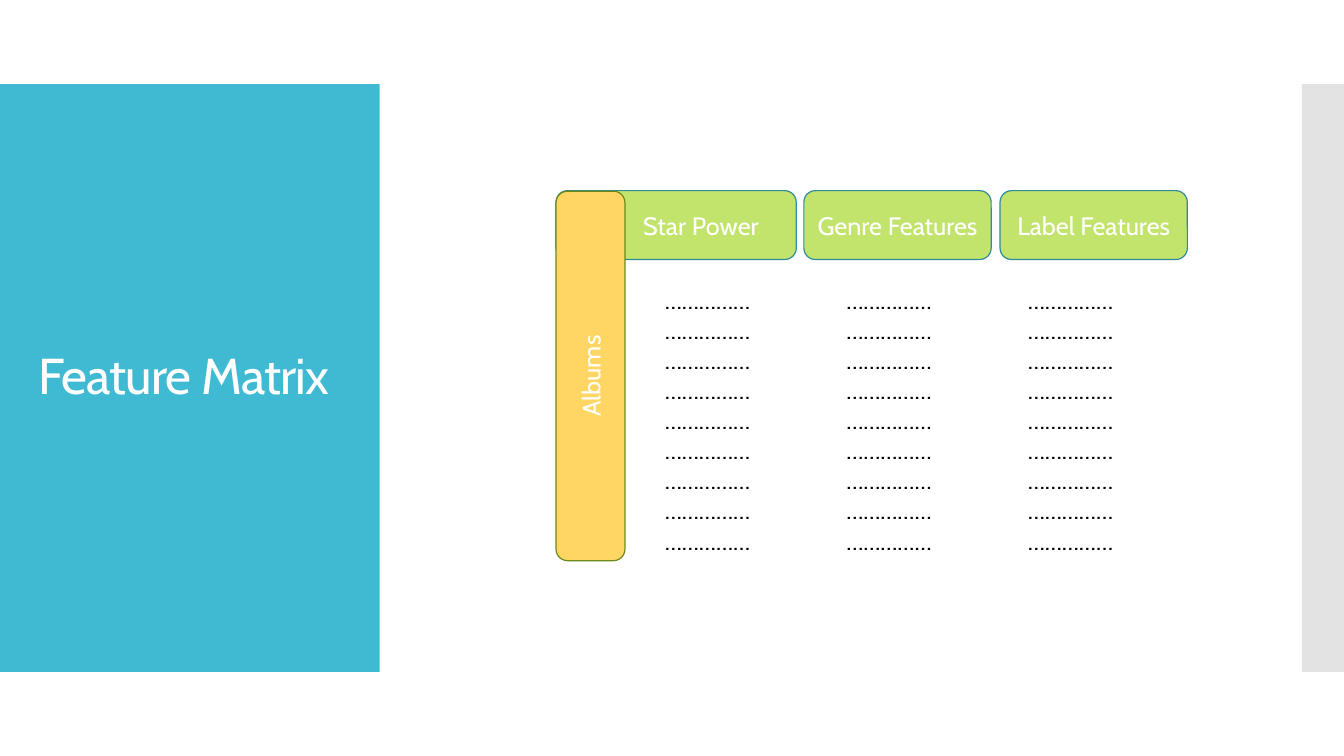
"""Build the Feature Matrix slide on a grid of 160 columns by 90 rows."""
import pptx
import pptx.util
import pptx.dml.color
import pptx.enum.shapes
import pptx.enum.text
import lxml.etree

RGB = pptx.dml.color.RGBColor
TEAL = RGB(0x40, 0xBA, 0xD2)
GREY = RGB(0xC8, 0xC8, 0xC8)
LIME = RGB(0xC2, 0xE4, 0x6D)
GOLD = RGB(0xFF, 0xD6, 0x63)
BLUE = RGB(0x2F, 0x8A, 0x9B)
MOSS = RGB(0x6B, 0x8A, 0x1A)
WHITE = RGB(0xFF, 0xFF, 0xFF)
BLACK = RGB(0, 0, 0)
FONT = "Cabin"
DOTS = "……………"
WIDE, HIGH = 13.33, 7.5
COLS, ROWS = 160, 90
KIND = pptx.enum.shapes.MSO_SHAPE
MID = pptx.enum.text.MSO_ANCHOR.MIDDLE


def cell(left, top, width, height):
    """Turn grid columns and rows into slide lengths."""
    col, row = WIDE / COLS, HIGH / ROWS
    sizes = (left * col, top * row, width * col, height * row)
    return [pptx.util.Inches(size) for size in sizes]


def write(para, text, size, color):
    """Add one run of text to a paragraph."""
    run = para.add_run()
    run.text = text
    run.font.name = FONT
    run.font.size = pptx.util.Pt(size)
    run.font.color.rgb = color
    return run


def block(slide, kind, area, fill, line=None):
    """Draw a filled shape with an optional outline."""
    shape = slide.shapes.add_shape(kind, *cell(*area))
    shape.shadow.inherit = False
    shape.fill.solid()
    shape.fill.fore_color.rgb = fill
    if line is None:
        shape.line.fill.background()
    else:
        shape.line.color.rgb = line
        shape.line.width = pptx.util.Pt(0.85)
    return shape


def fade(shape, share):
    """Make a solid fill partly see-through."""
    tag = pptx.oxml.ns.qn("a:srgbClr")
    color = next(shape.fill._xPr.iter(tag))
    alpha = lxml.etree.SubElement(color, pptx.oxml.ns.qn("a:alpha"))
    alpha.set("val", str(int(share * 100000)))


def label(slide, area, text, fill, line, inset=0.1):
    """Draw a rounded label with centred text."""
    shape = block(slide, KIND.ROUNDED_RECTANGLE, area, fill, line)
    frame = shape.text_frame
    frame.word_wrap = True
    frame.vertical_anchor = MID
    frame.margin_left = pptx.util.Inches(inset)
    para = frame.paragraphs[0]
    para.alignment = pptx.enum.text.PP_ALIGN.CENTER
    write(para, text, 18, WHITE)
    return shape


def title(slide, area, text):
    """Add the slide title."""
    frame = slide.shapes.add_textbox(*cell(*area)).text_frame
    frame.word_wrap = True
    frame.vertical_anchor = MID
    para = frame.paragraphs[0]
    para.line_spacing = 0.9
    run = write(para, text, 36, WHITE)
    run.font._element.set("spc", "-60")


def dots(slide, area, lines, count, step):
    """Add lines of dotted entries set on even tab stops."""
    frame = slide.shapes.add_textbox(*cell(*area)).text_frame
    frame.word_wrap = True
    frame.margin_left = pptx.util.Inches(0.33)
    para = frame.paragraphs[0]
    props = para._p.get_or_add_pPr()
    stops = lxml.etree.SubElement(props, pptx.oxml.ns.qn("a:tabLst"))
    for index in range(1, count):
        stop = lxml.etree.SubElement(stops, pptx.oxml.ns.qn("a:tab"))
        stop.set("pos", str(pptx.util.Inches(index * step)))
        stop.set("algn", "l")
    for index in range(lines):
        if index:
            para.add_line_break()
        write(para, "\t".join([DOTS] * count), 18, BLACK)


def main():
    """Build and save the slide."""
    deck = pptx.Presentation()
    deck.slide_width = pptx.util.Inches(WIDE)
    deck.slide_height = pptx.util.Inches(HIGH)
    slide = deck.slides.add_slide(deck.slide_layouts[6])

    block(slide, KIND.RECTANGLE, (0, 10, 45.2, 70), TEAL)
    fade(block(slide, KIND.RECTANGLE, (155, 10, 5, 70), GREY), 0.5)
    title(slide, (3.4, 14.8, 38.6, 60.4), "Feature Matrix")

    top, deep = 22.7, 8.2
    label(slide, (66.2, top, 28.6, deep), "Star Power", LIME, BLUE, 0.59)
    side = label(slide, (48.3, 40.65, 44, deep), "Albums", GOLD, MOSS)
    side.rotation = 270
    for index, text in enumerate(("Genre Features", "Label Features")):
        area = (95.7 + index * 23.35, top, 22.3, deep)
        label(slide, area, text, LIME, BLUE)
    for index in range(3):
        dots(slide, (75.2, 33.2 + index * 10.75, 66.1, 12.1), 3, 3, 1.8)

    deck.save("out.pptx")


if __name__ == "__main__":
    main()
